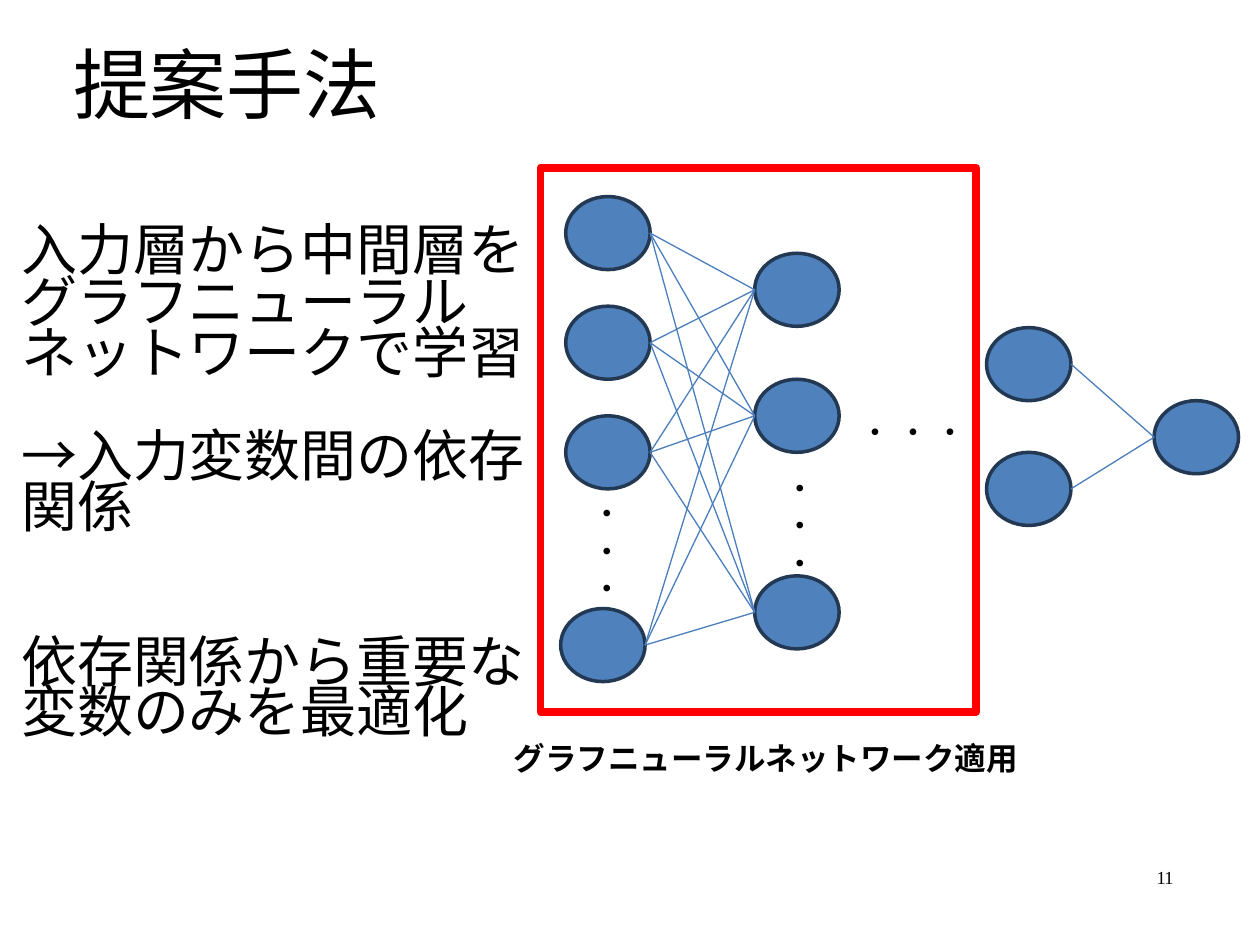
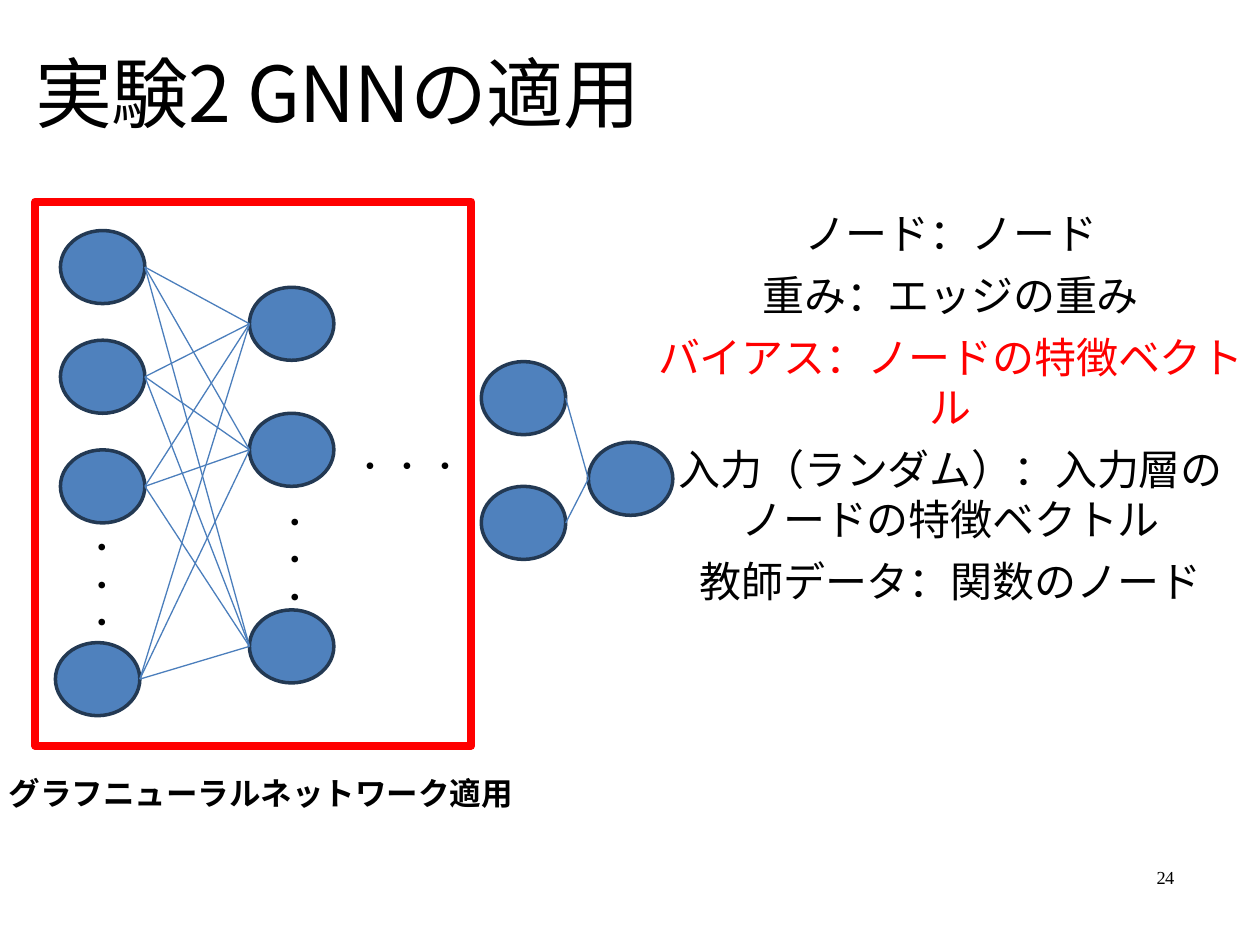
import itertools

import pptx
import pptx.dml.color
import pptx.enum.shapes
import pptx.enum.text
import pptx.oxml
import pptx.oxml.ns
import pptx.util

COLORS = {"text": "000000", "accent": "FF0000", "node": "4F81BD",
          "outline": "233953", "edge": "4B7EBC"}
GOTHIC = "Noto Sans CJK JP"
A_NS = pptx.oxml.ns.nsdecls("a")

prs = pptx.Presentation()
prs.slide_width = pptx.util.Inches(10)
prs.slide_height = pptx.util.Inches(7.5)
COL, ROW = prs.slide_width / 100, prs.slide_height / 75


def place(x, y, w, h):
    """Turn grid columns and rows into left, top, width, height."""
    return int(x * COL), int(y * ROW), int(w * COL), int(h * ROW)


def write(s, box, paragraphs, size, font=GOTHIC, insets=(0, 0.01, 0, 0), spc=0,
          bold=False, leading=None, align=pptx.enum.text.PP_ALIGN.LEFT):
    """Add a text box; paragraphs are (text, space before in points, colour name)."""
    sp = s.shapes.add_textbox(*place(*box))
    tf = sp.text_frame
    tf.word_wrap = True
    tf.auto_size = pptx.enum.text.MSO_AUTO_SIZE.SHAPE_TO_FIT_TEXT
    tf.margin_left, tf.margin_top, tf.margin_right, tf.margin_bottom = map(pptx.util.Inches, insets)
    for i, (text, before, color) in enumerate(paragraphs):
        p = tf.paragraphs[0] if i == 0 else tf.add_paragraph()
        p.text = text
        p.alignment = align
        p.space_before = pptx.util.Pt(before)
        if leading:
            p.line_spacing = pptx.util.Pt(leading)
        r = p.runs[0]
        r.font.size = pptx.util.Pt(size)
        r.font.bold = bold
        r.font.name = font
        r.font.color.rgb = pptx.dml.color.RGBColor.from_string(COLORS[color])
        rPr = r.font._element
        rPr.set("spc", str(spc))
        rPr.find(pptx.oxml.ns.qn("a:latin")).addnext(
            pptx.oxml.parse_xml(f'<a:ea {A_NS} typeface="{GOTHIC}"/>'))
    return sp


# Positions in the network are columns and rows from the frame's corner.
NODE_W, NODE_H = 6.7, 5.8
FRAME_W, FRAME_H = 34.6, 43.2
INPUT = [(2, 2.3), (2, 11), (2, 19.7), (1.6, 35)]
HIDDEN = [(17, 6.8), (17, 16.8), (17, 32.4)]
LAST_HIDDEN = [(35.4, 12.7), (35.4, 22.6)]
DOTS = [(3.1, 25.4, 0), (18.4, 23.4, 0), (27.7, 15.6, 90)]
INSETS = (0.1, 0.05, 0.1, 0.05)

SLIDES = [
    dict(title="提案手法", title_box=(5.8, 2.8, 27.8, 7.5), title_spc=-10,
         body=[("入力層から中間層を", 0.8, "text"),
               ("グラフニューラルネットワークで学習", 0.8, "text"),
               ("→入力変数間の依存関係", 30.4, "text"),
               ("依存関係から重要な変数のみを最適化", 60, "text")],
         body_box=(1.7, 18.3, 41.2, 41.6),
         body_style=dict(size=32, spc=-10, leading=28.8),
         frame=(42.9, 13.3), output=(48.7, 18.5), number="11"),
    dict(title="実験2 GNNの適用", title_box=(2.8, 3.5, 62.9, 7.5), title_spc=-40,
         body=[("ノード：ノード", 6.5, "text"),
               ("重み：エッジの重み", 6.5, "text"),
               ("バイアス：ノードの特徴ベクトル", 6.5, "accent"),
               ("入力（ランダム）：入力層のノードの特徴ベクトル", 6.5, "text"),
               ("教師データ：関数のノード", 6.5, "text")],
         body_box=(51.3, 15.6, 48.3, 28.5),
         body_style=dict(size=24, spc=-10, insets=(0, 0.09, 0, 0),
                         align=pptx.enum.text.PP_ALIGN.CENTER),
         frame=(2.8, 16), output=(43.9, 19.1), number="24"),
]

for page in SLIDES:
    s = prs.slides.add_slide(prs.slide_layouts[6])
    fx, fy = page["frame"]
    output = [page["output"]]

    write(s, page["title_box"], [(page["title"], 0.8, "text")], 44, spc=page["title_spc"])
    write(s, page["body_box"], page["body"], **page["body_style"])

    for x, y in INPUT + HIDDEN + LAST_HIDDEN + output:
        sp = s.shapes.add_shape(pptx.enum.shapes.MSO_SHAPE.OVAL,
                                *place(fx + x, fy + y, NODE_W, NODE_H))
        sp.shadow.inherit = False
        sp.fill.solid()
        sp.fill.fore_color.rgb = pptx.dml.color.RGBColor.from_string(COLORS["node"])
        sp.line.color.rgb = pptx.dml.color.RGBColor.from_string(COLORS["outline"])
        sp.line.width = pptx.util.Pt(2)

    edges = itertools.chain(itertools.product(INPUT, HIDDEN),
                            itertools.product(LAST_HIDDEN, output))
    for (x1, y1), (x2, y2) in edges:
        start = place(fx + x1 + NODE_W, fy + y1 + NODE_H / 2, 0, 0)[:2]
        end = place(fx + x2, fy + y2 + NODE_H / 2, 0, 0)[:2]
        cxn = s.shapes.add_connector(pptx.enum.shapes.MSO_CONNECTOR.STRAIGHT, *start, *end)
        cxn.line.color.rgb = pptx.dml.color.RGBColor.from_string(COLORS["edge"])
        cxn.line.width = pptx.util.Pt(0.75)
        cxn._element.spPr.append(pptx.oxml.parse_xml(f"<a:effectLst {A_NS}/>"))

    for x, y, angle in DOTS:
        sp = write(s, (fx + x, fy + y, 3.7, 10.1),
                   [("・", 0, "text"), ("・・", 0, "text")], 18, "Calibri", INSETS)
        sp.rotation = angle

    sp = s.shapes.add_shape(pptx.enum.shapes.MSO_SHAPE.RECTANGLE,
                            *place(fx, fy, FRAME_W, FRAME_H))
    sp.shadow.inherit = False
    sp.fill.background()
    sp.line.color.rgb = pptx.dml.color.RGBColor.from_string(COLORS["accent"])
    sp.line.width = pptx.util.Pt(4.5)

    write(s, (fx - 3.1, fy + 44.9, 48.3, 4),
          [("グラフニューラルネットワーク適用", 0, "text")], 18, "Calibri", INSETS, bold=True)
    write(s, (91.1, 68.8, 2.9, 1.7), [(page["number"], 0, "text")], 10.5,
          "Times New Roman", (0.07, 0, 0, 0), spc=-40, leading=12.2)

prs.save("out.pptx")
